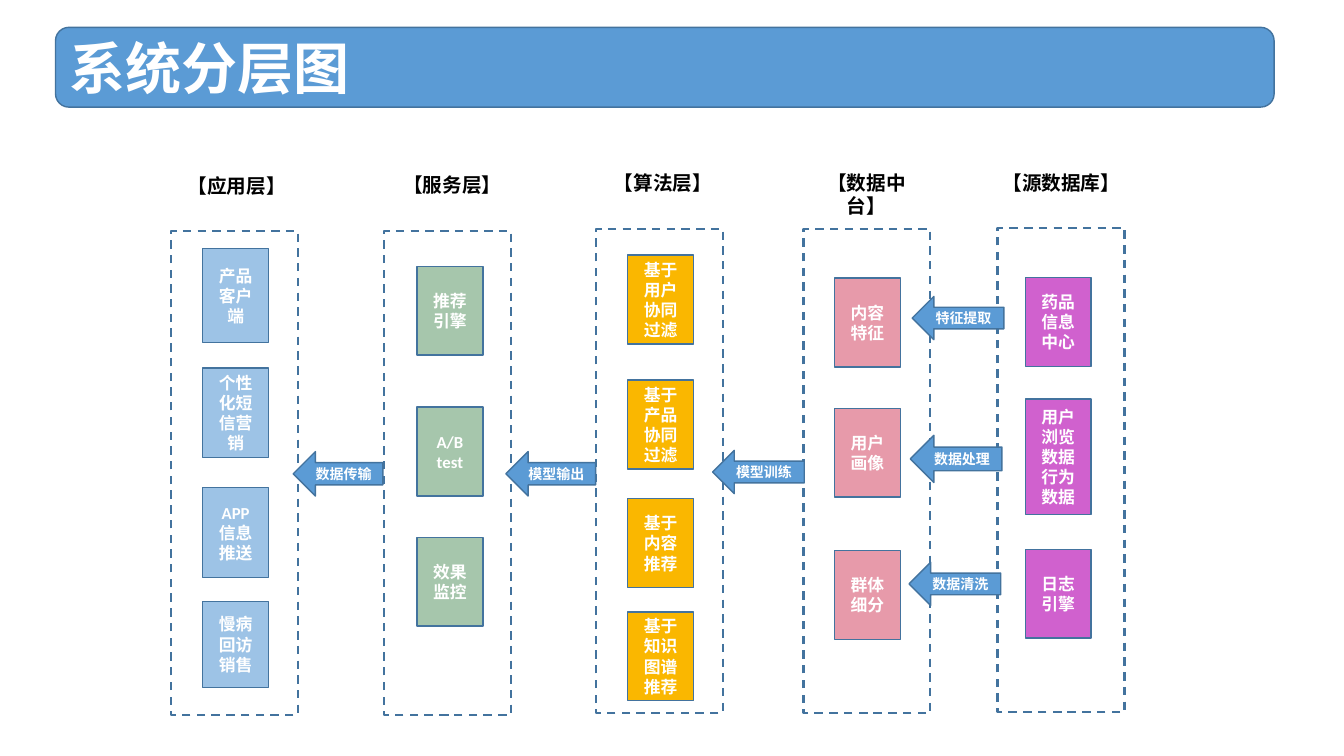
from pptx import Presentation
from pptx.dml.color import RGBColor
from pptx.enum.dml import MSO_LINE
from pptx.enum.shapes import MSO_SHAPE
from pptx.enum.text import MSO_ANCHOR, MSO_AUTO_SIZE, PP_ALIGN
from pptx.util import Cm, Pt

RECT, BANNER, ARROW = MSO_SHAPE.RECTANGLE, MSO_SHAPE.ROUNDED_RECTANGLE, MSO_SHAPE.LEFT_ARROW
DASH = MSO_LINE.DASH
MIDDLE = MSO_ANCHOR.MIDDLE
GROW = MSO_AUTO_SIZE.SHAPE_TO_FIT_TEXT
LEFT, CENTER = PP_ALIGN.LEFT, PP_ALIGN.CENTER

THEME = {
    "font": "Calibri",
    "blue": "5B9BD5", "outline": "43739E", "light": "FFFFFF", "dark": "000000",
    "app": "9DC3E6", "service": "A6C6AC", "algorithm": "FAB700",
    "data": "E79AAA", "source": "D061CE",
    "banner_size": 40, "heading_size": 14, "module_size": 12, "flow_size": 10,
    "thin": 1, "frame": 1.5,
}

HEADLINE = "系统分层图"
HEADLINE_BOX = (1.4, 0.69, 30.71, 2.01)

FRAME_W, FRAME_H = 3.2, 12.2
MODULE_W, MODULE_H = 1.66, 2.24
HEADING_W, HEADING_H = 3.05, 0.86

LAYERS = [
    {"name": "【应用层】", "color": "app", "frame": (4.31, 5.82), "heading": (5.97, 4.27),
     "modules": [("产品客户\n端", 6.27, 2.36), ("个性化短信营销", 9.27, 2.26),
                 ("APP\n信息推送", 12.29, 2.26), ("慢病回访销售", 15.16, 2.16)]},
    {"name": "【服务层】", "color": "service", "frame": (9.68, 5.82), "heading": (11.4, 4.24),
     "modules": [("推荐引擎", 6.71), ("A/B\ntest", 10.26), ("效果监控", 13.54)]},
    {"name": "【算法层】", "color": "algorithm", "frame": (15.02, 5.77), "heading": (16.71, 4.17),
     "modules": [("基于用户协同过滤", 6.43), ("基于产品协同过滤", 9.58),
                 ("基于内容推荐", 12.57), ("基于知识图谱推荐", 15.42)]},
    {"name": "【数据中台】", "color": "data", "frame": (20.25, 5.77), "heading": (21.84, 4.17),
     "modules": [("内容特征", 7.01), ("用户画像", 10.29), ("群体细分", 13.87)]},
    {"name": "【源数据库】", "color": "source", "frame": (25.14, 5.74), "heading": (26.75, 4.17),
     "heading_w": 4.17,
     "modules": [("药品信息中心", 6.99), ("用户浏览数据行为数据", 10.06, 2.9),
                 ("日志引擎", 13.84)]},
]
MODULE_CENTERS = [5.94, 11.34, 16.65, 21.86, 26.67]

FLOWS = [
    ("数据传输", 7.39, 11.38, 2.26, 1.12),
    ("模型输出", 12.75, 11.38, 2.26, 1.12),
    ("模型训练", 17.96, 11.35, 2.31, 1.09),
    ("特征提取", 22.99, 7.47, 2.31, 1.09),
    ("数据处理", 22.94, 10.97, 2.31, 1.19),
    ("数据清洗", 22.91, 14.17, 2.31, 1.09),
]


def rgb(key):
    return RGBColor.from_string(THEME[key])


def write(holder, words, size, color, align=CENTER):
    frame = holder.text_frame
    frame.word_wrap = True
    frame.text = words
    for paragraph in frame.paragraphs:
        paragraph.alignment = align
        for run in paragraph.runs:
            run.font.name = THEME["font"]
            run.font.size = Pt(THEME[size])
            run.font.bold = True
            run.font.color.rgb = rgb(color)


def outlined(slide, kind, box, weight="thin"):
    shape = slide.shapes.add_shape(kind, *map(Cm, box))
    shape.shadow.inherit = False
    shape.line.color.rgb = rgb("outline")
    shape.line.width = Pt(THEME[weight])
    return shape


def filled(slide, kind, box, color, words, size, align=CENTER):
    shape = outlined(slide, kind, box)
    shape.fill.solid()
    shape.fill.fore_color.rgb = rgb(color)
    shape.text_frame.vertical_anchor = MIDDLE
    write(shape, words, size, "light", align)


def draw_layer(slide, layer, center):
    frame = outlined(slide, RECT, (*layer["frame"], FRAME_W, FRAME_H), "frame")
    frame.fill.background()
    frame.line.dash_style = DASH

    middle, top = layer["heading"]
    width = layer.get("heading_w", HEADING_W)
    heading = slide.shapes.add_textbox(Cm(middle - width / 2), Cm(top), Cm(width), Cm(HEADING_H))
    write(heading, layer["name"], "heading_size", "dark")
    heading.text_frame.auto_size = GROW

    for words, module_top, *height in layer["modules"]:
        box = (center - MODULE_W / 2, module_top, MODULE_W, height[0] if height else MODULE_H)
        filled(slide, RECT, box, layer["color"], words, "module_size")


def main():
    deck = Presentation()
    deck.slide_width, deck.slide_height = Cm(33.87), Cm(19.05)
    slide = deck.slides.add_slide(deck.slide_layouts[6])
    filled(slide, BANNER, HEADLINE_BOX, "blue", HEADLINE, "banner_size", LEFT)
    for layer, center in zip(LAYERS, MODULE_CENTERS):
        draw_layer(slide, layer, center)
    for words, *box in FLOWS:
        filled(slide, ARROW, box, "blue", words, "flow_size")
    deck.save("out.pptx")


if __name__ == "__main__":
    main()
